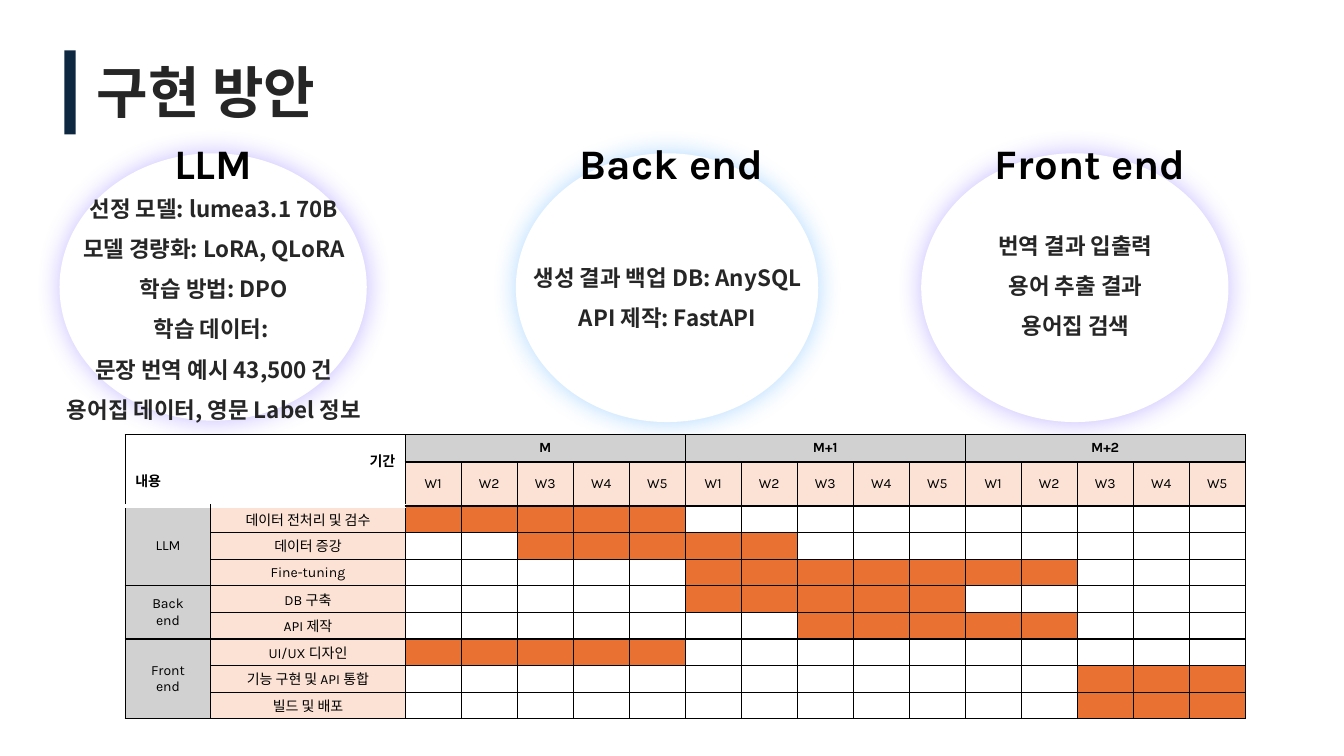
"""Build the implementation plan slide: three topic circles above a weekly schedule."""
from dataclasses import dataclass

import lxml.etree
import pptx
import pptx.dml.color
import pptx.enum.shapes
import pptx.enum.text
import pptx.oxml
import pptx.oxml.ns
import pptx.util

EMU_PER_PX = 6350
ALIGN = pptx.enum.text.PP_ALIGN
MIDDLE = pptx.enum.text.MSO_ANCHOR.MIDDLE


@dataclass(frozen=True)
class Theme:
    navy: str = "0E2841"
    ink: str = "262626"
    black: str = "000000"
    white: str = "FFFFFF"
    violet: str = "7258FF"
    sky: str = "3FA4FF"
    grey: str = "D1D1D1"
    peach: str = "FBE2D5"
    orange: str = "E97132"
    korean: str = "Noto Sans CJK KR"
    latin: str = "Karla"
    title_size: int = 40
    heading_size: int = 30
    body_size: int = 16
    table_size: int = 10


THEME = Theme()


@dataclass(frozen=True)
class Box:
    left: int
    top: int
    width: int
    height: int

    def emu(self) -> tuple[int, ...]:
        return tuple(px(v) for v in (self.left, self.top, self.width, self.height))


@dataclass(frozen=True)
class TextStyle:
    size: int
    font: str
    color: str
    bold: bool = True
    align: ALIGN = ALIGN.CENTER
    spacing: float = 1.0


@dataclass(frozen=True)
class Topic:
    heading: str
    heading_box: Box
    circle: Box
    glow: str
    body_box: Box
    lines: tuple[str, ...]


@dataclass(frozen=True)
class Task:
    label: str
    start: int
    weeks: int


@dataclass(frozen=True)
class Team:
    lines: tuple[str, ...]
    tasks: tuple[Task, ...]


TITLE = TextStyle(THEME.title_size, THEME.korean, THEME.ink, align=ALIGN.LEFT)
HEADING = TextStyle(THEME.heading_size, THEME.latin, THEME.black)
BODY = TextStyle(THEME.body_size, THEME.korean, THEME.ink, spacing=1.5)
CELL = TextStyle(THEME.table_size, THEME.latin, THEME.black, bold=False)
CELL_BOLD = TextStyle(THEME.table_size, THEME.latin, THEME.black)

TOPICS = (
    Topic("LLM", Box(85, 190, 439, 88), Box(85, 219, 439, 382), THEME.violet, Box(65, 252, 481, 415),
          ("선정 모델: lumea3.1 70B", "모델 경량화: LoRA, QLoRA", "학습 방법: DPO", "학습 데이터: ",
           "문장 번역 예시 43,500 건", "용어집 데이터, 영문 Label 정보")),
    Topic("Back end", Box(740, 190, 439, 88), Box(737, 219, 432, 384), THEME.sky, Box(713, 351, 481, 147),
          ("생성 결과 백업 DB: AnySQL", "API 제작: FastAPI")),
    Topic("Front end", Box(1338, 190, 439, 88), Box(1316, 219, 439, 384), THEME.violet, Box(1296, 305, 481, 135),
          ("번역 결과 입출력", "용어 추출 결과", "용어집 검색")),
)
TEAMS = (
    Team(("LLM",), (Task("데이터 전처리 및 검수", 0, 5), Task("데이터 증강", 2, 5), Task("Fine-tuning", 5, 7))),
    Team(("Back", "end"), (Task("DB 구축", 5, 5), Task("API 제작", 7, 5))),
    Team(("Front", "end"), (Task("UI/UX 디자인", 0, 5), Task("기능 구현 및 API 통합", 12, 3),
                            Task("빌드 및 배포", 12, 3))),
)
MONTHS = ("M", "M+1", "M+2")
WEEKS = 5
COLUMN_WIDTHS = (122, 278) + (80,) * (len(MONTHS) * WEEKS)
ROW_HEIGHTS = (39, 63) + (38,) * sum(len(team.tasks) for team in TEAMS)


def px(value: int) -> int:
    return pptx.util.Emu(value * EMU_PER_PX)


def rgb(color: str) -> pptx.dml.color.RGBColor:
    return pptx.dml.color.RGBColor.from_string(color)


def write_line(paragraph, text: str, style: TextStyle) -> None:
    paragraph.alignment = style.align
    paragraph.line_spacing = style.spacing
    run = paragraph.add_run()
    run.text = text
    run.font.size = pptx.util.Pt(style.size)
    run.font.bold = style.bold
    run.font.name = style.font
    run.font.color.rgb = rgb(style.color)
    east_asian = lxml.etree.SubElement(run.font._element, pptx.oxml.ns.qn("a:ea"))
    east_asian.set("typeface", THEME.korean)


def write_lines(frame, lines: tuple[str, ...], style: TextStyle) -> None:
    for index, line in enumerate(lines):
        write_line(frame.add_paragraph() if index else frame.paragraphs[0], line, style)


def add_text(shapes, box: Box, lines: tuple[str, ...], style: TextStyle) -> None:
    frame = shapes.add_textbox(*box.emu()).text_frame
    frame.word_wrap = True
    write_lines(frame, lines, style)


def add_filled(shapes, kind, box: Box, color: str):
    shape = shapes.add_shape(kind, *box.emu())
    shape.shadow.inherit = False
    shape.fill.solid()
    shape.fill.fore_color.rgb = rgb(color)
    shape.line.fill.background()
    return shape


def add_topic(slide, topic: Topic) -> None:
    shapes = slide.shapes.add_group_shape().shapes
    circle = add_filled(shapes, pptx.enum.shapes.MSO_SHAPE.OVAL, topic.circle, THEME.white)
    effects = circle._element.spPr.find(pptx.oxml.ns.qn("a:effectLst"))
    effects.append(pptx.oxml.parse_xml(
        f'<a:outerShdw {pptx.oxml.ns.nsdecls("a")} blurRad="{pptx.util.Pt(18.1)}" dist="0" dir="0" '
        f'algn="ctr" rotWithShape="0"><a:srgbClr val="{topic.glow}"><a:alpha val="40000"/>'
        '</a:srgbClr></a:outerShdw>'))
    add_text(shapes, topic.body_box, topic.lines, BODY)


def style_cell(cell, row: int, column: int, color: str) -> None:
    white_edges = {(1, "B"): 3, (2, "T"): 3} if column < 2 else {}
    if row == 0 and column == len(COLUMN_WIDTHS) - 1:
        white_edges = {(0, "R"): 1}
    properties = cell._tc.get_or_add_tcPr()
    for side in "LRTB":
        width = white_edges.get((row, side))
        edge = THEME.white if width else THEME.black
        properties.append(pptx.oxml.parse_xml(
            f'<a:ln{side} {pptx.oxml.ns.nsdecls("a")} w="{pptx.util.Pt(width or 1)}">'
            f'<a:solidFill><a:srgbClr val="{edge}"/></a:solidFill></a:ln{side}>'))
    cell.fill.solid()
    cell.fill.fore_color.rgb = rgb(color)
    cell.vertical_anchor = MIDDLE
    cell.margin_top = cell.margin_bottom = px(4)
    end = lxml.etree.SubElement(cell.text_frame.paragraphs[0]._p, pptx.oxml.ns.qn("a:endParaRPr"))
    end.set("sz", str(THEME.table_size * 100))


def cell_color(row: int, column: int, tasks: list[Task]) -> str:
    if row < 2:
        return THEME.white if column < 2 else (THEME.grey, THEME.peach)[row]
    if column < 2:
        return (THEME.grey, THEME.peach)[column]
    task = tasks[row - 2]
    return THEME.orange if task.start <= column - 2 < task.start + task.weeks else THEME.white


def add_schedule(slide) -> None:
    box = Box(179, 621, sum(COLUMN_WIDTHS), sum(ROW_HEIGHTS))
    table = slide.shapes.add_table(len(ROW_HEIGHTS), len(COLUMN_WIDTHS), *box.emu()).table
    table.first_row = table.horz_banding = False
    for column, width in zip(table.columns, COLUMN_WIDTHS):
        column.width = px(width)
    tasks = [task for team in TEAMS for task in team.tasks]
    for row, height in enumerate(ROW_HEIGHTS):
        table.rows[row].height = px(height)
        for column in range(len(COLUMN_WIDTHS)):
            style_cell(table.cell(row, column), row, column, cell_color(row, column, tasks))
    corner = table.cell(0, 0)
    corner.merge(table.cell(1, 1))
    write_lines(corner.text_frame, ("기간", "내용"), CELL_BOLD)
    corner.text_frame.paragraphs[0].alignment = ALIGN.RIGHT
    corner.text_frame.paragraphs[1].alignment = ALIGN.LEFT
    for index, month in enumerate(MONTHS):
        first = 2 + index * WEEKS
        table.cell(0, first).merge(table.cell(0, first + WEEKS - 1))
        write_lines(table.cell(0, first).text_frame, (month,), CELL_BOLD)
        for week in range(WEEKS):
            write_lines(table.cell(1, first + week).text_frame, (f"W{week + 1}",), CELL)
    row = 2
    for team in TEAMS:
        table.cell(row, 0).merge(table.cell(row + len(team.tasks) - 1, 0))
        write_lines(table.cell(row, 0).text_frame, team.lines, CELL)
        for task in team.tasks:
            write_lines(table.cell(row, 1).text_frame, (task.label,), CELL)
            row += 1


def main() -> None:
    presentation = pptx.Presentation()
    presentation.slide_width, presentation.slide_height = px(1920), px(1080)
    slide = presentation.slides.add_slide(presentation.slide_layouts[6])
    add_filled(slide.shapes, pptx.enum.shapes.MSO_SHAPE.RECTANGLE, Box(92, 72, 16, 120), THEME.navy)
    add_text(slide.shapes, Box(124, 75, 1462, 111), ("구현 방안",), TITLE)
    for topic in TOPICS:
        add_topic(slide, topic)
    for topic in TOPICS:
        add_text(slide.shapes, topic.heading_box, (topic.heading,), HEADING)
    add_schedule(slide)
    presentation.save("out.pptx")


if __name__ == "__main__":
    main()
